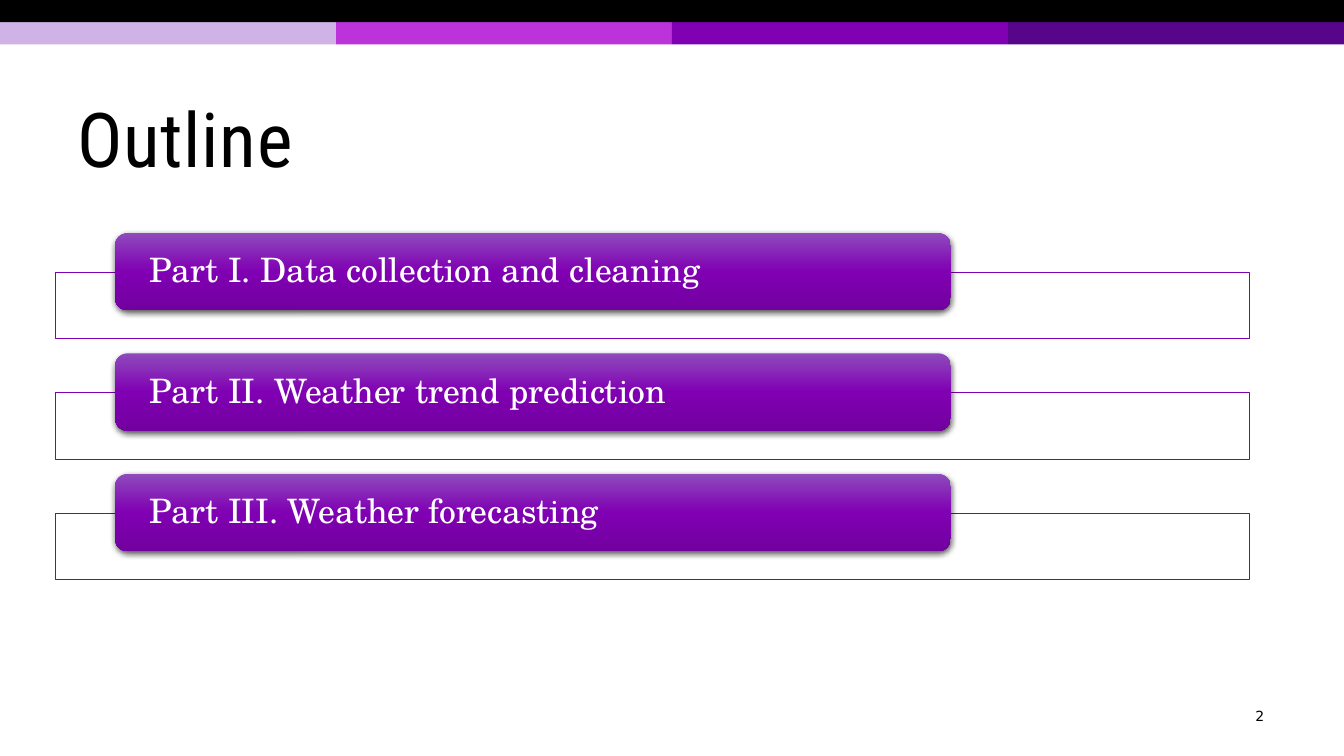
"""Build the outline slide with three weather project parts."""
import pptx
import pptx.dml.color
import pptx.enum.shapes
import pptx.enum.text
import pptx.oxml
import pptx.oxml.ns
import pptx.util
from lxml import etree
from pptx.util import Inches

TITLE = "Outline"
PAGE_NUMBER = "2"
PARTS = [
    "Part I. Data collection and cleaning",
    "Part II. Weather trend prediction",
    "Part III. Weather forecasting",
]
COLORS = {
    "black": "000000", "white": "FFFFFF", "lilac": "CFB3E6", "orchid": "BD33DA",
    "purple": "8000B3", "indigo": "57058A", "light": "8E4BBC", "dark": "72009F",
}
BAND = ["lilac", "orchid", "purple", "indigo"]
BUTTON_STOPS = [(0, "light"), (50, "purple"), (100, "dark")]
SLIDE_W, SLIDE_H = 13.33, 7.5
BAND_H = 0.22
FIRST_TOP, PITCH = 2.31, 1.195
FRAME_OFFSET = 0.39

SHAPES = pptx.enum.shapes.MSO_SHAPE
ALIGN = pptx.enum.text.PP_ALIGN
ANCHOR = pptx.enum.text.MSO_ANCHOR


def rgb(name):
    """Return the named colour."""
    return pptx.dml.color.RGBColor.from_string(COLORS[name])


def write(sp, text, font, size, color="black", align=ALIGN.LEFT,
          anchor=ANCHOR.MIDDLE, insets=(0.1, 0.05, 0.1, 0.05), spacing=1.0, tracking=0):
    """Put one formatted paragraph in a shape."""
    tf = sp.text_frame
    tf.word_wrap = True
    tf.auto_size = pptx.enum.text.MSO_AUTO_SIZE.NONE
    tf.vertical_anchor = anchor
    tf.margin_left, tf.margin_top, tf.margin_right, tf.margin_bottom = map(Inches, insets)
    p = tf.paragraphs[0]
    p.alignment = align
    p.line_spacing = spacing
    r = p.add_run()
    r.text = text
    r.font.name = font
    r.font.size = pptx.util.Pt(size)
    r.font.color.rgb = rgb(color)
    if tracking:
        r.font._element.set("spc", str(int(tracking * 100)))


def add_box(slide, kind, left, top, width, height, fill, line=None):
    """Add a flat shape with a solid fill."""
    sp = slide.shapes.add_shape(kind, *map(Inches, (left, top, width, height)))
    sp.shadow.inherit = False
    sp.fill.solid()
    sp.fill.fore_color.rgb = rgb(fill)
    if line:
        sp.line.color.rgb = rgb(line)
        sp.line.width = pptx.util.Pt(0.5)
    else:
        sp.line.fill.background()
    return sp


def color_xml(parent, name, alpha=100):
    """Append a colour element with its opacity in percent."""
    clr = etree.SubElement(parent, pptx.oxml.ns.qn("a:srgbClr"), val=COLORS[name])
    if alpha < 100:
        etree.SubElement(clr, pptx.oxml.ns.qn("a:alpha"), val=str(alpha * 1000))


def style_button(sp):
    """Give a button its vertical gradient and soft shadow."""
    qn = pptx.oxml.ns.qn
    sp.fill.gradient()
    sp.fill.gradient_angle = 270
    stops = sp._element.spPr.find(".//" + qn("a:gsLst"))
    for old in list(stops):
        stops.remove(old)
    for position, name in BUTTON_STOPS:
        color_xml(etree.SubElement(stops, qn("a:gs"), pos=str(position * 1000)), name)
    effects = sp._element.spPr.find(qn("a:effectLst"))
    shadow = etree.SubElement(effects, qn("a:outerShdw"), blurRad=str(pptx.util.Pt(4.5)),
                              dist=str(pptx.util.Pt(1.5)), dir="5400000", rotWithShape="0")
    color_xml(shadow, "black", 63)


def main():
    """Build and save the slide."""
    prs = pptx.Presentation()
    prs.slide_width, prs.slide_height = Inches(SLIDE_W), Inches(SLIDE_H)
    slide = prs.slides.add_slide(prs.slide_layouts[5])

    segment = SLIDE_W / len(BAND)
    for i, name in enumerate(BAND):
        add_box(slide, SHAPES.RECTANGLE, i * segment, BAND_H, segment, BAND_H, name)
    add_box(slide, SHAPES.RECTANGLE, 0, 0, SLIDE_W, BAND_H, "black")

    title = slide.shapes.title
    title.left, title.top, title.width, title.height = map(Inches, (0.77, 0.26, 6, 1.61))
    write(title, TITLE, "Roboto Condensed", 54, anchor=ANCHOR.BOTTOM,
          insets=(0, 0.05, 0.1, 0.05), spacing=0.85, tracking=0.5)

    number = slide.shapes.add_textbox(*map(Inches, (12.19, 6.97, 0.61, 0.27)))
    write(number, PAGE_NUMBER, "DejaVu Sans", 10, align=ALIGN.CENTER)

    for i, part in enumerate(PARTS):
        top = FIRST_TOP + i * PITCH
        add_box(slide, SHAPES.RECTANGLE, 0.55, top + FRAME_OFFSET, 11.84, 0.66,
                "white", line="purple")
        button = add_box(slide, SHAPES.ROUNDED_RECTANGLE, 1.14, top, 8.29, 0.77, "purple")
        style_button(button)
        write(button, part, "TeX Gyre Schola", 24, color="white",
              insets=(0.31, 0, 0.31, 0), spacing=0.9)

    prs.save("out.pptx")


if __name__ == "__main__":
    main()
